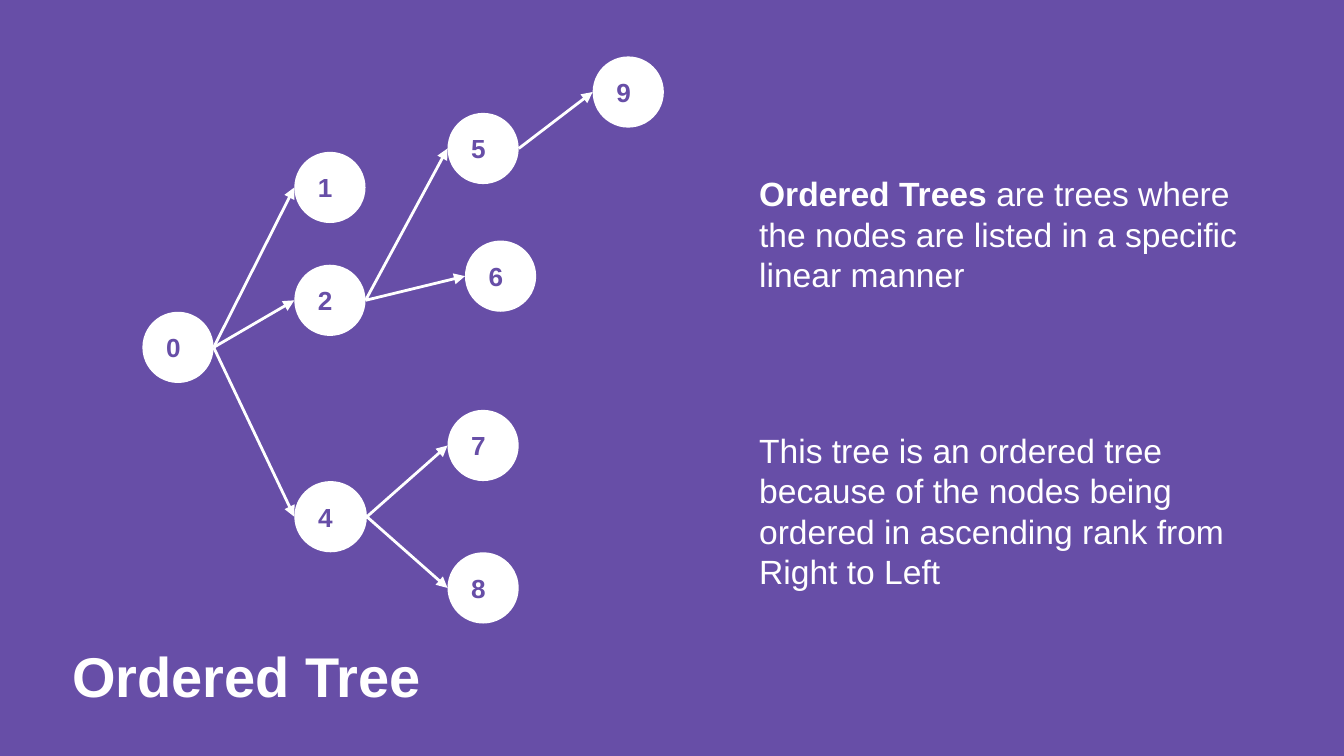
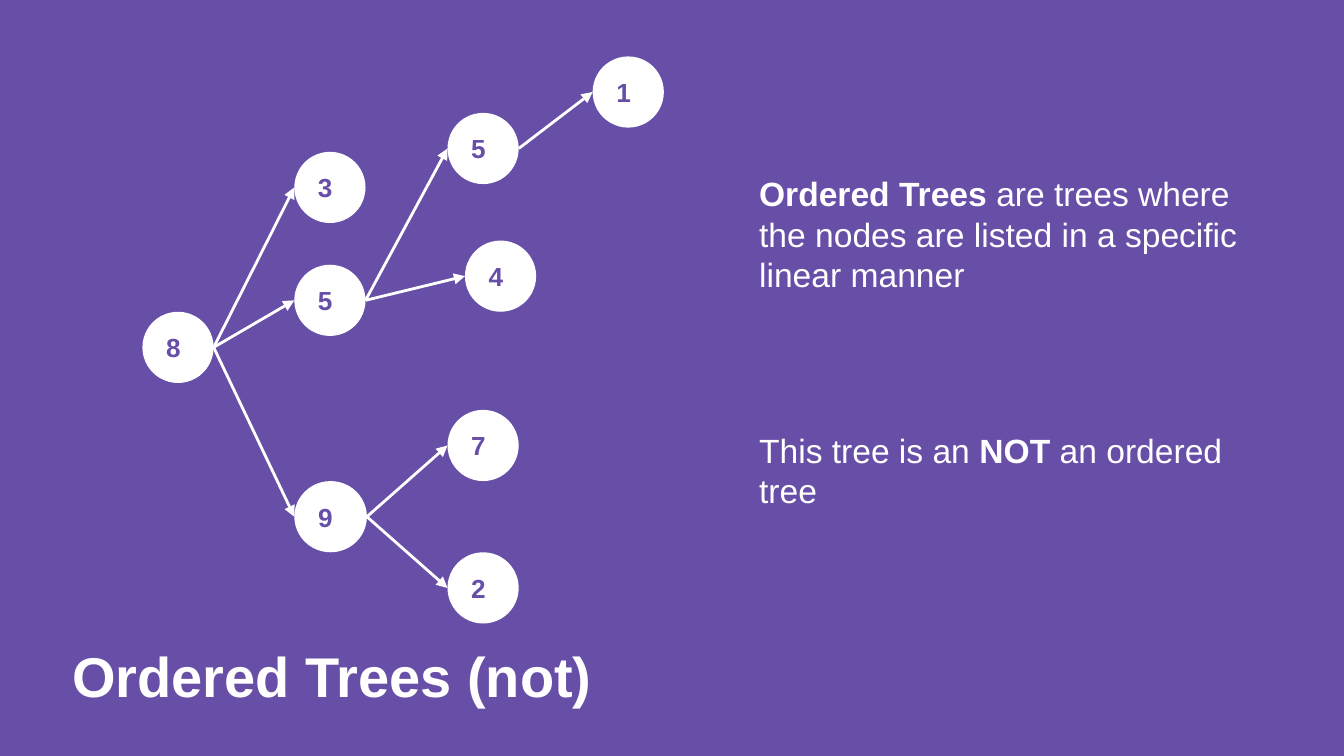
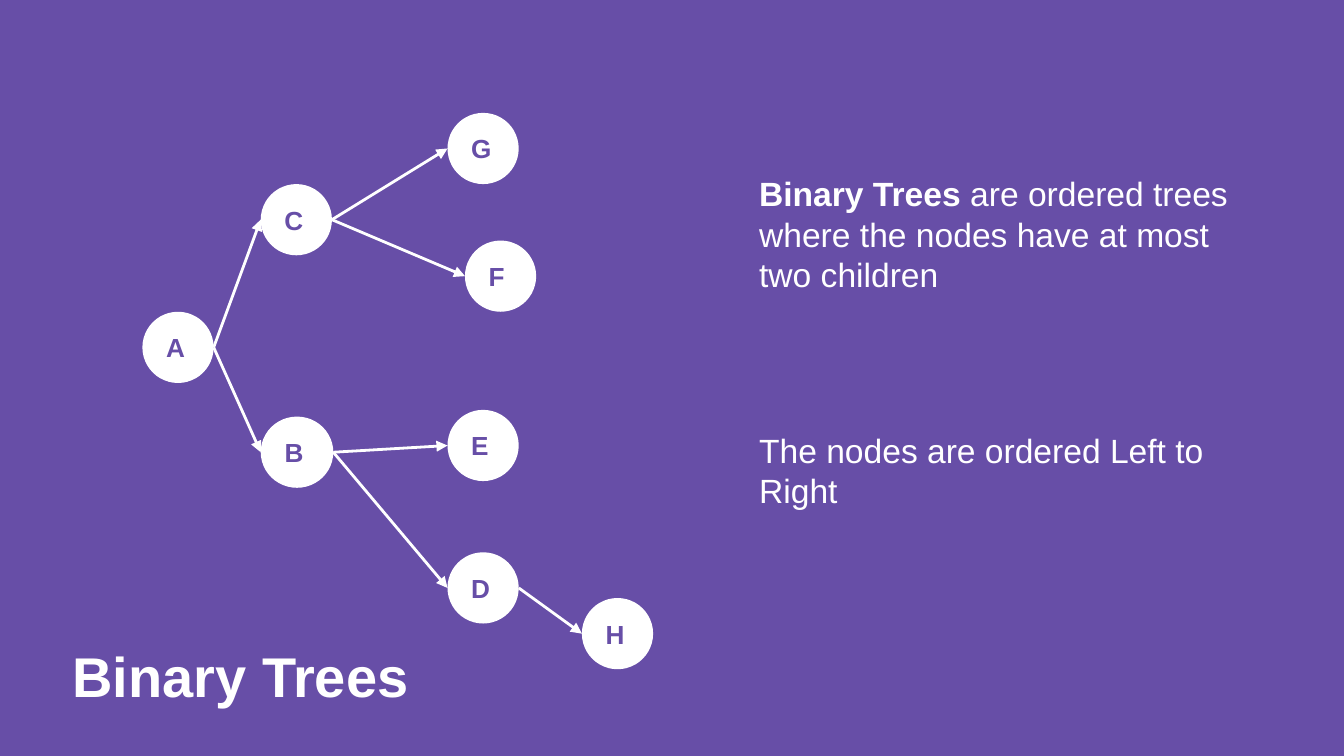
from pptx import Presentation
from pptx import util as u
from pptx.dml.color import RGBColor
from pptx.enum import shapes, text
from pptx.oxml.ns import qn
from lxml import etree

HUES = {"back": "674EA7", "fore": "FFFFFF"}
FONT = "Arial"
SIZE = 0.53
ROOT = (1.06, 2.32)
LEAVES = [(3.33, 3.05), (3.33, 4.11), (3.46, 1.79), (3.33, 0.84)]
WIDE = [ROOT, (2.19, 1.13), (2.19, 1.97), (2.19, 3.58, 0.54), *LEAVES, (4.41, 0.42)]
PAIRS = [ROOT, (1.94, 1.37), (1.94, 3.1, 0.54), *LEAVES, (4.33, 4.45)]
WIDE_LINKS = [(0, 1), (0, 2), (0, 3), (3, 5), (3, 4), (2, 6), (2, 7), (7, 8)]
PAIR_LINKS = [(0, 1), (0, 2), (2, 4), (2, 3), (1, 5), (1, 6), (4, 7)]
RULE = [("Ordered Trees", True),
        (" are trees where the nodes are listed in a specific linear manner", False)]

PAGES = [
    ("Ordered Tree", 3.72, WIDE, WIDE_LINKS, "012478659", RULE,
     [("This tree is an ordered tree because of the nodes being ordered "
       "in ascending rank from Right to Left", False)]),
    ("Ordered Trees (not)", 5.11, WIDE, WIDE_LINKS, "835972451", RULE,
     [("This tree is an ", False), ("NOT", True), (" an ordered tree", False)]),
    ("Binary Trees", 5.11, PAIRS, PAIR_LINKS, "ACBEDFGH",
     [("Binary Trees", True),
      (" are ordered trees where the nodes have at most two children", False)],
     [("The nodes are ordered Left to Right", False)]),
]


def tint(name):
    return RGBColor.from_string(HUES[name])


def write(shape, runs, size=18, hue="fore", anchor=text.MSO_ANCHOR.TOP):
    frame = shape.text_frame
    frame.word_wrap = True
    frame.vertical_anchor = anchor
    frame.margin_left = frame.margin_right = u.Inches(0.1)
    frame.margin_top = frame.margin_bottom = u.Inches(0.1)
    para = frame.paragraphs[0]
    para.alignment = text.PP_ALIGN.LEFT
    for words, bold in runs:
        run = para.add_run()
        run.text = words
        run.font.name = FONT
        run.font.size = u.Pt(size)
        run.font.bold = bold
        run.font.color.rgb = tint(hue)


def add_text(slide, box, runs, **style):
    write(slide.shapes.add_textbox(*map(u.Inches, box)), runs, **style)


def add_node(slide, label, left, top, width=SIZE):
    node = slide.shapes.add_shape(
        shapes.MSO_SHAPE.OVAL, *map(u.Inches, (left, top, width, SIZE)))
    node.shadow.inherit = False
    node.fill.solid()
    node.fill.fore_color.rgb = tint("fore")
    node.line.fill.background()
    write(node, [(label, True)], size=14, hue="back",
          anchor=text.MSO_ANCHOR.MIDDLE)
    return node


def add_link(slide, start, end):
    link = slide.shapes.add_connector(
        shapes.MSO_CONNECTOR.STRAIGHT,
        start.left + start.width, start.top + start.height // 2,
        end.left, end.top + end.height // 2)
    link.line.color.rgb = tint("fore")
    link.line.width = u.Pt(1.5)
    props = link._element.spPr
    tip = etree.SubElement(props.find(qn("a:ln")), qn("a:tailEnd"))
    tip.set("type", "triangle")
    etree.SubElement(props, qn("a:effectLst"))


def add_tree(slide, spots, links, labels):
    nodes = [add_node(slide, label, *spot) for spot, label in zip(spots, labels)]
    for start, end in links:
        add_link(slide, nodes[start], nodes[end])


def add_page(deck, title, width, spots, links, labels, rule, note):
    slide = deck.slides.add_slide(deck.slide_layouts[6])
    slide.background.fill.solid()
    slide.background.fill.fore_color.rgb = tint("back")
    add_tree(slide, spots, links, labels)
    add_text(slide, (5.55, 1.19, 3.82, 0.93), rule)
    add_text(slide, (0.44, 4.67, width, SIZE), [(title, True)], size=30)
    add_text(slide, (5.55, 3.1, 3.82, 0.93), note)


def main():
    deck = Presentation()
    deck.slide_width = u.Inches(10)
    deck.slide_height = u.Inches(10 * 9 / 16)
    for page in PAGES:
        add_page(deck, *page)
    deck.save("out.pptx")


if __name__ == "__main__":
    main()
